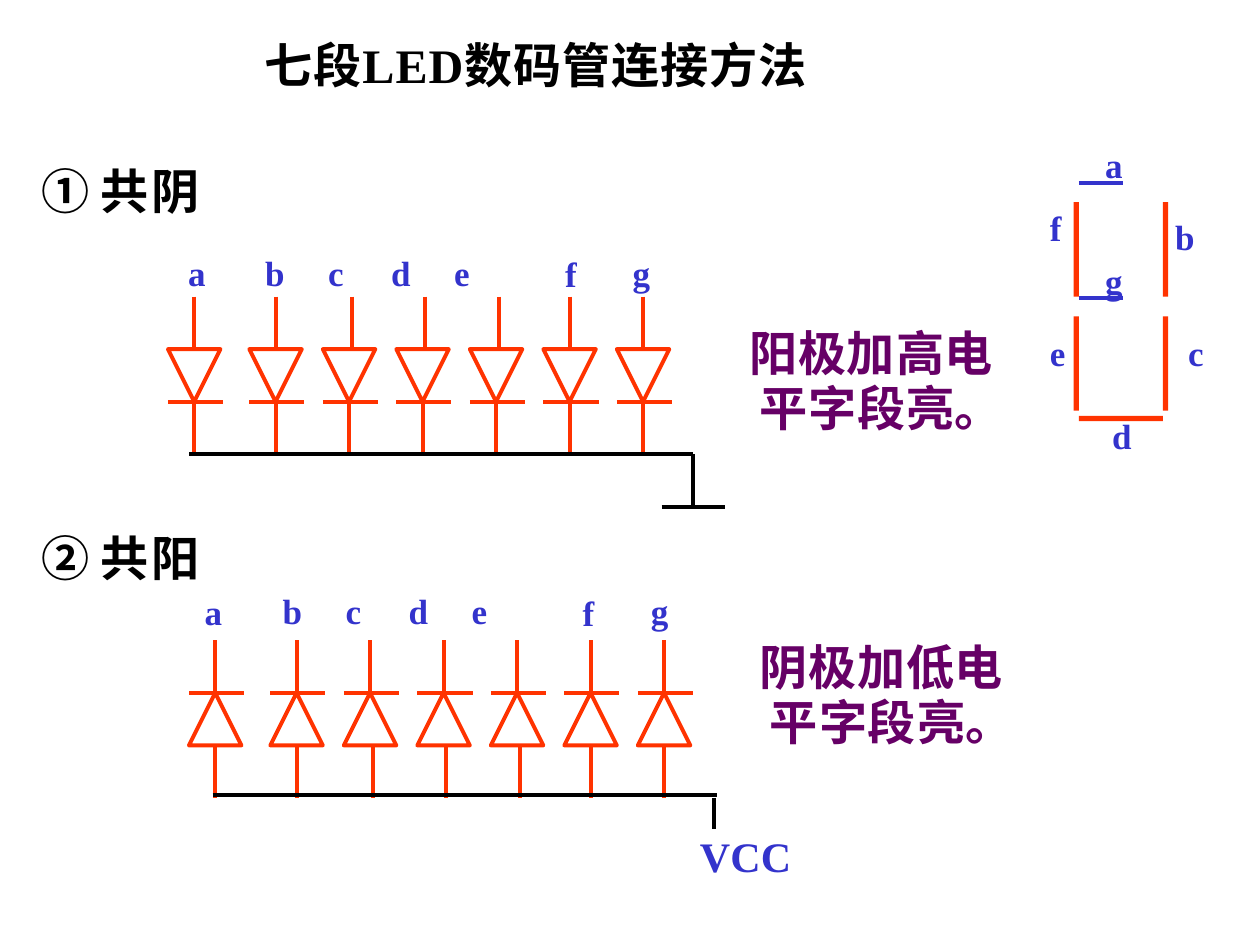
from dataclasses import dataclass

from lxml.etree import SubElement
from pptx import Presentation
from pptx.dml.color import RGBColor
from pptx.enum.shapes import MSO_CONNECTOR, MSO_SHAPE
from pptx.oxml.ns import qn
from pptx.util import Pt

RED = RGBColor(0xFF, 0x33, 0x00)
BLUE = RGBColor(0x33, 0x33, 0xCC)
PLUM = RGBColor(0x66, 0x00, 0x66)
BLACK = RGBColor(0, 0, 0)
HAN = "Noto Sans CJK SC"
ROMAN = "Times New Roman"
SIDE = 30      # height and width of a diode, length of a lead
BAR = 31.5     # width of the bar at its tip


@dataclass
class Run:
    text: str
    gap: float = 0.1
    font: str = HAN


@dataclass
class Label:
    text: str
    x: float
    y: float
    size: float = 20
    wide: float = 14
    tabs: tuple[float, ...] = ()


@dataclass
class Bank:
    """A row of seven diodes."""
    x: float
    y: float
    down: bool


deck = Presentation()
deck.slide_width, deck.slide_height = Pt(720), Pt(540)
slide = deck.slides.add_slide(deck.slide_layouts[6])
shapes = slide.shapes


def add_text(runs: list[Run], x: float, y: float, wide: float, high: float,
             size: float, color: RGBColor, pitch: float = 0, hang: float = 0,
             tabs: tuple[float, ...] = (), wrap: bool = False) -> None:
    frame = shapes.add_textbox(Pt(x), Pt(y), Pt(wide), Pt(high)).text_frame
    frame.word_wrap = wrap
    frame.margin_left = frame.margin_right = Pt(0)
    frame.margin_top = frame.margin_bottom = Pt(0)
    para = frame.paragraphs[0]
    if pitch:
        para.line_spacing = Pt(pitch)
    props = para._p.get_or_add_pPr()
    props.set("marL", str(Pt(1 + hang)))
    props.set("indent", str(Pt(-hang)))
    if tabs:
        stops = SubElement(props, qn("a:tabLst"))
        for stop in tabs:
            SubElement(stops, qn("a:tab"), pos=str(Pt(stop)), algn="l")
    for part in runs:
        run = para.add_run()
        run.text = part.text
        run.font.name, run.font.size, run.font.bold = part.font, Pt(size), True
        run.font.color.rgb = color
        marks = run._r.get_or_add_rPr()
        marks.set("spc", str(round(part.gap * 100)))
        SubElement(marks, qn("a:ea"), typeface=part.font)


def add_label(label: Label) -> None:
    add_text([Run(label.text, font=ROMAN)], label.x, label.y, label.wide,
             label.size * 1.25, label.size, BLUE, tabs=label.tabs)


def add_line(x1: float, y1: float, x2: float, y2: float, color: RGBColor) -> None:
    line = shapes.add_connector(MSO_CONNECTOR.STRAIGHT, Pt(x1), Pt(y1), Pt(x2), Pt(y2))
    line.line.color.rgb, line.line.width = color, Pt(2.25)
    SubElement(line._element.spPr, qn("a:effectLst"))


def add_strip(x: float, y: float, wide: float, high: float) -> None:
    strip = shapes.add_shape(MSO_SHAPE.RECTANGLE, Pt(x), Pt(y), Pt(wide), Pt(high))
    strip.shadow.inherit = False
    strip.fill.solid()
    strip.fill.fore_color.rgb = RED
    strip.line.fill.background()


def add_diode(x: float, y: float, down: bool, shift: float) -> None:
    """Draw one diode; the lead at its base may be shifted."""
    mid, top, low = x + SIDE / 2, y + SIDE, y + 2 * SIDE
    base, tip = (top, low) if down else (low, top)
    path = shapes.build_freeform(Pt(x), Pt(base), scale=1.0)
    path.add_line_segments([(Pt(mid), Pt(tip)), (Pt(x + SIDE), Pt(base))], close=True)
    body = path.convert_to_shape()
    body.shadow.inherit = False
    body.fill.background()
    body.line.color.rgb, body.line.width = RED, Pt(2.25)
    add_line(x, tip, x + BAR, tip, RED)
    head, tail = (shift, 0) if down else (0, shift)
    add_line(mid + head, y, mid + head, top, RED)
    add_line(mid + tail, low, mid + tail, low + SIDE, RED)


def add_bank(bank: Bank) -> None:
    for i in range(7):
        left = bank.x + 42 * i + (4.5 if i else 0)
        add_diode(left, bank.y, bank.down, 1.5 if i in (2, 3, 4) else 0)


# Title and headings
add_text([Run("七段", 0.6), Run("LED", 0.6, ROMAN), Run("数码管连接方法", 0.6)],
         150, 20.5, 315.5, 66, 27.5, BLACK, pitch=33, wrap=True)
for mark, name, y in (("① ", "共阴", 92), ("② ", "共阳", 302)):
    add_text([Run(mark), Run(name, 1.6)], 22.5, y, 96, 33, 27.5, BLACK, pitch=33)

# Notes on how the segments light up
for first, level, x, y in (("阳", "高电", 427, 186), ("阴", "低电", 433, 365.5)):
    note = [Run(first, 0.8), Run("极"), Run("加", 0.8), Run(level),
            Run("平", 0.8), Run("字"), Run("段", 0.8), Run("亮。")]
    add_text(note, x, y, 142.5, 63, 27.5, PLUM, pitch=31.5, hang=6, wrap=True)

# Diodes, rails and ground
for bank in (Bank(96, 169.5, True), Bank(108, 366, False)):
    add_bank(bank)
for ends in ((108, 259.5, 396, 259.5), (396, 259.5, 396, 289.5),
             (378, 289.5, 414, 289.5),
             (121.5, 454.5, 409.5, 454.5), (408, 456, 408, 474)):
    add_line(*ends, BLACK)

# Letters above the diodes
for ax, ay, bx, fx, gx, y in ((106.5, 144, 150.5, 322, 360.5, 143.5),
                              (116, 337.5, 160.5, 332, 371, 337)):
    for label in (Label("a", ax, ay),
                  Label("b\tc\td\te", bx, y, wide=139, tabs=(46, 88, 129)),
                  Label("f", fx, y + 1), Label("g", gx, y)):
        add_label(label)
add_label(Label("VCC", 399, 474.5, size=24, wide=54))

# Seven-segment digit
for x in (613.5, 664.5):
    for y in (115.5, 180.75):
        add_strip(x, y, 3, 54)
add_strip(616.5, 237.75, 48, 3)
for y in (104.5, 170.25):
    add_line(616.5, y, 641.5, y, BLUE)
for label in (Label("a", 630.5, 82), Label("b", 670.5, 123), Label("c", 678, 189.5),
              Label("d", 634.5, 237), Label("e", 599, 189.5), Label("f", 599, 118),
              Label("g", 630.5, 148.5)):
    add_label(label)

deck.save("out.pptx")
